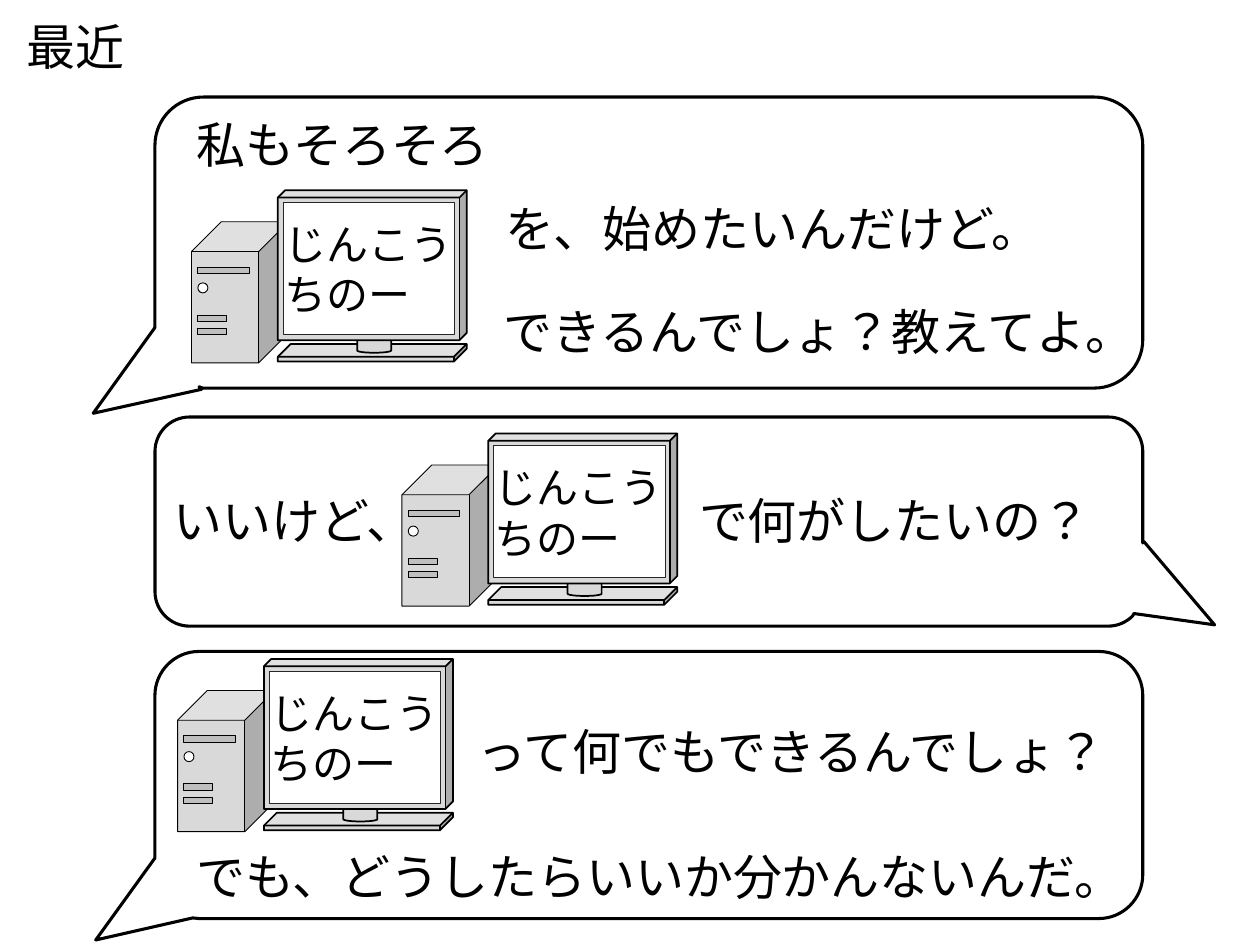
import math

import pptx
import pptx.dml.color
import pptx.enum.lang
import pptx.enum.shapes
import pptx.enum.text
import pptx.oxml.ns
import pptx.util
import lxml.etree

# Grid: 100 columns by 75 rows, square cells
COLUMNS, ROWS = 100, 75
CELL = pptx.util.Inches(0.1)
SHAPE = pptx.enum.shapes.MSO_SHAPE
COLORS = {
    "ink": "000000",
    "paper": "FFFFFF",
    "case": "D9D9D9",
    "slot": "BFBFBF",
    "screen_edge": "262626",
}
TOP_RIGHT, BOTTOM_RIGHT, BOTTOM_LEFT, TOP_LEFT = range(4)


def cells(*lengths):
    return [round(length * CELL) for length in lengths]


def rgb(name):
    return pptx.dml.color.RGBColor.from_string(COLORS[name])


def paint(shape, fill, line, width):
    shape.shadow.inherit = False
    shape.fill.solid()
    shape.fill.fore_color.rgb = rgb(fill)
    shape.line.color.rgb = rgb(line)
    shape.line.width = pptx.util.Pt(width)


def add_words(slide, box, words, size=28, font="Roboto"):
    frame = slide.shapes.add_textbox(*cells(*box)).text_frame
    frame.word_wrap = False
    frame.auto_size = pptx.enum.text.MSO_AUTO_SIZE.SHAPE_TO_FIT_TEXT
    frame.text = words
    for paragraph in frame.paragraphs:
        for run in paragraph.runs:
            run.font.size = pptx.util.Pt(size)
            run.font.name = font
            run.font.language_id = pptx.enum.lang.MSO_LANGUAGE_ID.JAPANESE
            run.font.color.rgb = rgb("ink")


def arc_points(x, y, radius, start, end):
    """Start, two control points and end of a circular arc."""
    reach = 4 / 3 * math.tan((end - start) / 4)

    def point(angle, along):
        return (x + radius * (math.cos(angle) - along * math.sin(angle)),
                y + radius * (math.sin(angle) + along * math.cos(angle)))

    return [point(start, 0), point(start, reach), point(end, -reach), point(end, 0)]


def bend(shape, curve_starts):
    """Join each run of three line ends into one Bezier curve."""
    outline = next(shape.element.iter(pptx.oxml.ns.qn("a:path")))
    segments = list(outline)
    for start in curve_starts:
        curve = lxml.etree.Element(pptx.oxml.ns.qn("a:cubicBezTo"))
        segments[start].addprevious(curve)
        for segment in segments[start:start + 3]:
            curve.append(segment[0])
            outline.remove(segment)


def add_bubble(slide, box, radius, tail_corner, tail, arc_from):
    """Rounded box; the tail, offset from its corner, replaces the arc up to arc_from."""
    left, top, width, height = box
    right, bottom = left + width, top + height
    corners = [(right, top, -1, 1), (right, bottom, -1, -1),
               (left, bottom, 1, -1), (left, top, 1, 1)]
    outline, curve_starts = [], []
    for corner, (x, y, inward_x, inward_y) in enumerate(corners):
        start = 0
        if corner == tail_corner:
            outline += [(x + dx, y + dy) for dx, dy in tail]
            start = arc_from
        if start < 1:
            curve_starts.append(len(outline) + 1)
            outline += arc_points(x + radius * inward_x, y + radius * inward_y, radius,
                                  math.pi / 2 * (corner - 1 + start), math.pi / 2 * corner)
    points = [cells(*point) for point in outline]
    builder = slide.shapes.build_freeform(*points[0])
    builder.add_line_segments(points[1:], close=True)
    bubble = builder.convert_to_shape()
    bend(bubble, curve_starts)
    paint(bubble, "paper", "ink", 1.75)


def add_computer(slide, left, top):
    # Preset, offset and size in cells, adjustment, fill, line, line width
    parts = [
        # Tower with drive, slots and power button
        (SHAPE.CUBE, (0, 2.5, 7.7, 11.2), 0.307, "case", "ink", 0.5),
        (SHAPE.RECTANGLE, (0.5, 6.1, 4.1, 0.5), None, "slot", "ink", 0.5),
        (SHAPE.RECTANGLE, (0.5, 9.9, 2.3, 0.5), None, "slot", "ink", 0.5),
        (SHAPE.RECTANGLE, (0.5, 10.95, 2.3, 0.5), None, "slot", "ink", 0.5),
        (SHAPE.OVAL, (0.5, 7.35, 0.8, 0.8), None, "paper", "ink", 0.5),
        # Keyboard, stand, monitor and screen
        (SHAPE.CUBE, (6.85, 12.2, 15, 1.4), 0.734, "case", "ink", 1),
        (SHAPE.CAN, (13.15, 11.5, 2.7, 1.4), None, "case", "ink", 1),
        (SHAPE.CUBE, (6.85, 0, 15, 11.9), 0.049, "case", "ink", 1),
        (SHAPE.RECTANGLE, (7.3, 0.95, 13.6, 10.5), None, "paper", "screen_edge", 0.5),
    ]
    computer = slide.shapes.add_group_shape()
    for preset, (dx, dy, width, height), adjustment, fill, line, weight in parts:
        part = computer.shapes.add_shape(preset, *cells(left + dx, top + dy, width, height))
        if adjustment is not None:
            part.adjustments[0] = adjustment
        paint(part, fill, line, weight)
    add_words(slide, (left + 6.4, top + 1.75, 15.5, 9.1), "じんこう\nちのー", size=24)


def add_remark(slide, box, radius, tail, computer_at, lines):
    """One speech bubble; computer and lines are offset from the box."""
    left, top = box[:2]
    add_bubble(slide, box, radius, *tail)
    add_computer(slide, left + computer_at[0], top + computer_at[1])
    for dx, dy, width, words in lines:
        add_words(slide, (left + dx, top + dy, width, 5.7), words)


def main():
    presentation = pptx.Presentation()
    presentation.slide_width, presentation.slide_height = cells(COLUMNS, ROWS)
    slide = presentation.slides.add_slide(presentation.slide_layouts[6])

    # Heading
    add_words(slide, (1.1, 0.8, 9.9, 5.7), "最近", font="Arial")

    # Request
    add_remark(
        slide, (12.3, 7.7, 78.4, 23.1), 3.85,
        (BOTTOM_LEFT, [(3.8, 0), (3.5, -0.1), (3.7, 0.1), (-4.9, 2), (0, -4.8)], 1),
        (2.9, 7.4),
        [(2.3, 0.9, 25.6, "私もそろそろ"),
         (26.8, 7.6, 45.2, "を、始めたいんだけど。"),
         (26.7, 15.7, 53.1, "できるんでしょ？教えてよ。")])

    # Question back
    add_remark(
        slide, (12.3, 33.1, 78.4, 16.6), 2.75,
        (BOTTOM_RIGHT, [(0, -6.6), (0.1, -6.7), (5.7, -0.1), (-0.7, -1)], 0.5),
        (19.6, 1.3),
        [(0.5, 5.3, 21.7, "いいけど、"),
         (42.2, 5.3, 33.4, "で何がしたいの？")])

    # Answer
    add_remark(
        slide, (12.3, 51.7, 78.4, 21.2), 3.5,
        (BOTTOM_LEFT, [(3.5, 0), (3, -0.05), (-4.7, 1.7), (0, -4.8)], 1),
        (1.8, 0.6),
        [(24.6, 5.1, 53.1, "って何でもできるんでしょ？"),
         (2.3, 15, 76.6, "でも、どうしたらいいか分かんないんだ。")])

    presentation.save("out.pptx")


if __name__ == "__main__":
    main()
